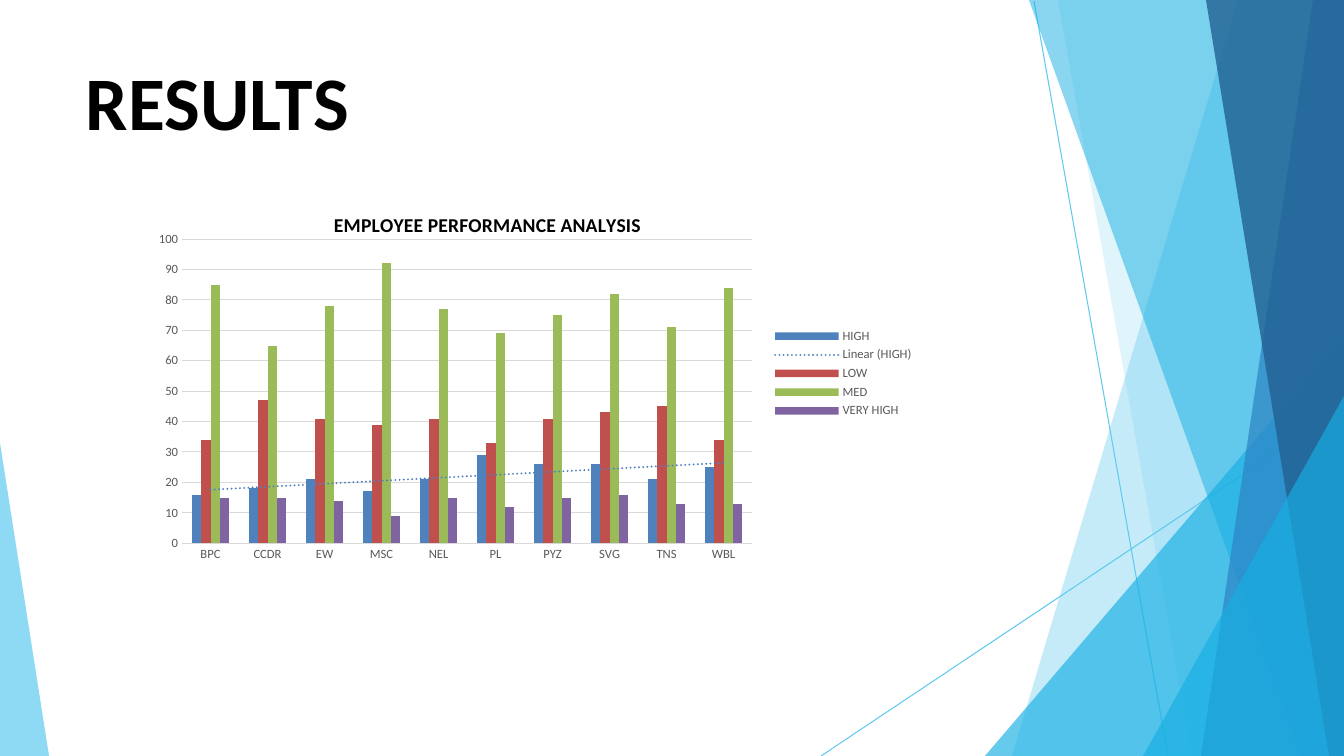
from pptx import Presentation
from pptx import util as u
from pptx.chart import data
from pptx.dml import color
from pptx.enum import chart as kinds
from pptx.enum import shapes, text
from pptx.oxml import ns, parse_xml

RGB = color.RGBColor
BLACK = RGB(0x00, 0x00, 0x00)
GREY = RGB(0x59, 0x59, 0x59)
RULE = RGB(0xD9, 0xD9, 0xD9)
SKY = RGB(0x5F, 0xCA, 0xEE)
CYAN = RGB(0x17, 0xAF, 0xE3)
BLUE = RGB(0x2D, 0x83, 0xC3)
NAVY = RGB(0x22, 0x61, 0x92)
HIGH = RGB(0x4F, 0x81, 0xBD)
LOW = RGB(0xC0, 0x50, 0x4D)
MED = RGB(0x9B, 0xBB, 0x59)
VERY_HIGH = RGB(0x80, 0x64, 0xA2)

SCALE = 914400 / 100.8
WIDTH, HEIGHT = 1344, 756

RAYS = [(1034, 1, 1168, HEIGHT), (WIDTH, 407, 821, HEIGHT)]
FACETS = [
    (1238, 0, 1012, SKY, 36),
    (1058, 0, 1192, SKY, 20),
    (WIDTH, 336, 985, CYAN, 66),
    (1029, 0, 1301, CYAN, 50),
    (1313, 0, 1201, BLUE, 70),
    (1206, 0, 1329, NAVY, 80),
    (WIDTH, 396, 1143, CYAN, 66),
]
UNITS = ["BPC", "CCDR", "EW", "MSC", "NEL", "PL", "PYZ", "SVG", "TNS", "WBL"]
RATINGS = [
    ("HIGH", HIGH, [16, 18, 21, 17, 21, 29, 26, 26, 21, 25]),
    ("LOW", LOW, [34, 47, 41, 39, 41, 33, 41, 43, 45, 34]),
    ("MED", MED, [85, 65, 78, 92, 77, 69, 75, 82, 71, 84]),
    ("VERY HIGH", VERY_HIGH, [15, 15, 14, 9, 15, 12, 15, 16, 13, 13]),
]


def px(length):
    """Turn whole pixels into EMU."""
    return u.Emu(round(length * SCALE))


def apply(target, **values):
    """Set each named attribute on the target."""
    for name, value in values.items():
        setattr(target, name, value)


class Painter:
    """Draws styled elements on the current page."""

    def __init__(self, page, family):
        """Keep the page and the font family."""
        self.page = page
        self.family = family

    def style(self, font, size, tint, bold=False):
        """Format a font."""
        apply(font, name=self.family, size=u.Pt(size), bold=bold)
        font.color.rgb = tint

    def ray(self, x1, y1, x2, y2, tint):
        """Draw a thin straight line."""
        line = self.page.shapes.add_connector(
            shapes.MSO_CONNECTOR.STRAIGHT, px(x1), px(y1), px(x2), px(y2))
        line.line.color.rgb = tint
        line.line.width = u.Pt(0.75)
        line.element.spPr.append(parse_xml(f"<a:effectLst {ns.nsdecls('a')}/>"))

    def facet(self, points, tint, opacity):
        """Draw a translucent polygon."""
        builder = self.page.shapes.build_freeform(*points[0], scale=SCALE)
        builder.add_line_segments(points[1:], close=True)
        shape = builder.convert_to_shape()
        shape.shadow.inherit = False
        shape.line.fill.background()
        shape.fill.solid()
        shape.fill.fore_color.rgb = tint
        shade = shape.element.spPr.find(".//" + ns.qn("a:srgbClr"))
        shade.append(parse_xml(
            f"<a:alpha {ns.nsdecls('a')} val='{opacity * 1000}'/>"))

    def heading(self, words, left, top, width, height):
        """Write the page heading."""
        box = self.page.shapes.add_textbox(px(left), px(top), px(width), px(height))
        apply(box.text_frame, word_wrap=True,
              auto_size=text.MSO_AUTO_SIZE.SHAPE_TO_FIT_TEXT)
        span = box.text_frame.paragraphs[0].add_run()
        span.text = words
        self.style(span.font, 54, BLACK, True)

    def axis(self, axis, line):
        """Format a chart axis."""
        apply(axis, major_tick_mark=kinds.XL_TICK_MARK.NONE,
              minor_tick_mark=kinds.XL_TICK_MARK.NONE)
        self.style(axis.tick_labels.font, 9, GREY)
        if line is None:
            axis.format.line.fill.background()
        else:
            axis.format.line.color.rgb = line
            axis.format.line.width = u.Pt(0.75)

    def layout(self, parent, position, **places):
        """Fix where a chart part lies, as shares of the chart."""
        for old in parent.findall(ns.qn("c:layout")):
            parent.remove(old)
        modes = "".join(f'<c:{axis}Mode val="edge"/>' for axis in "xy")
        values = "".join(f'<c:{k} val="{v}"/>' for k, v in places.items())
        target = '<c:layoutTarget val="inner"/>' if "w" in places else ""
        parent.insert(position, parse_xml(
            f"<c:layout {ns.nsdecls('c')}><c:manualLayout>"
            f"{target}{modes}{values}</c:manualLayout></c:layout>"))

    def trend(self, series, tint):
        """Add a dotted linear trend line to a series element."""
        series.find(ns.qn("c:cat")).addprevious(parse_xml(
            f"<c:trendline {ns.nsdecls('c', 'a')}><c:spPr>"
            f'<a:ln w="{u.Pt(1.5)}" cap="rnd"><a:solidFill><a:srgbClr val="{tint}"/>'
            '</a:solidFill><a:prstDash val="sysDot"/></a:ln></c:spPr>'
            '<c:trendlineType val="linear"/><c:dispRSqr val="0"/>'
            '<c:dispEq val="0"/></c:trendline>'))

    def columns(self, title, cats, rows, left, top, width, height):
        """Draw a clustered column chart with a trend on its first series."""
        table = data.CategoryChartData()
        table.categories = cats
        for name, _, values in rows:
            table.add_series(name, values)
        chart = self.page.shapes.add_chart(
            kinds.XL_CHART_TYPE.COLUMN_CLUSTERED,
            px(left), px(top), px(width), px(height), table).chart
        self.style(chart.font, 10, BLACK)

        apply(chart, has_title=True, has_legend=True)
        span = chart.chart_title.text_frame.paragraphs[0].add_run()
        span.text = title
        self.style(span.font, 14, BLACK, True)
        apply(chart.legend, position=kinds.XL_LEGEND_POSITION.RIGHT,
              include_in_layout=False)
        self.style(chart.legend.font, 9, GREY)

        self.axis(chart.category_axis, RULE)
        self.axis(chart.value_axis, None)
        apply(chart.value_axis, minimum_scale=0, maximum_scale=100,
              major_unit=10, has_major_gridlines=True)
        grid = chart.value_axis.major_gridlines.format.line
        grid.color.rgb = RULE
        grid.width = u.Pt(0.75)

        plot = chart.plots[0]
        apply(plot, gap_width=219, overlap=0, vary_by_categories=False)
        for series, (_, tint, _) in zip(plot.series, rows):
            series.format.fill.solid()
            series.format.fill.fore_color.rgb = tint
        self.trend(chart.element.find(".//" + ns.qn("c:ser")), rows[0][1])
        self.layout(chart.element.find(".//" + ns.qn("c:plotArea")), 0,
                    x=0.05, y=0.16, w=0.73, h=0.77)
        self.layout(chart.chart_title.element, 1, x=0.24, y=0.08)


def main():
    """Build and save the deck."""
    deck = Presentation()
    apply(deck, slide_width=px(WIDTH), slide_height=px(HEIGHT))
    page = deck.slides.add_slide(deck.slide_layouts[6])
    painter = Painter(page, "Calibri")
    for ray in RAYS:
        painter.ray(*ray, SKY)
    for top_x, top_y, foot_x, tint, opacity in FACETS:
        points = [(WIDTH, top_y), (top_x, top_y), (foot_x, HEIGHT), (WIDTH, HEIGHT)]
        painter.facet(list(dict.fromkeys(points)), tint, opacity)
    painter.facet([(0, 443), (0, HEIGHT), (49, HEIGHT)], SKY, 70)
    painter.heading("RESULTS", 76, 50, 403, 102)
    painter.columns("EMPLOYEE PERFORMANCE ANALYSIS", UNITS, RATINGS,
                    143, 176, 781, 395)
    deck.save("out.pptx")


if __name__ == "__main__":
    main()
